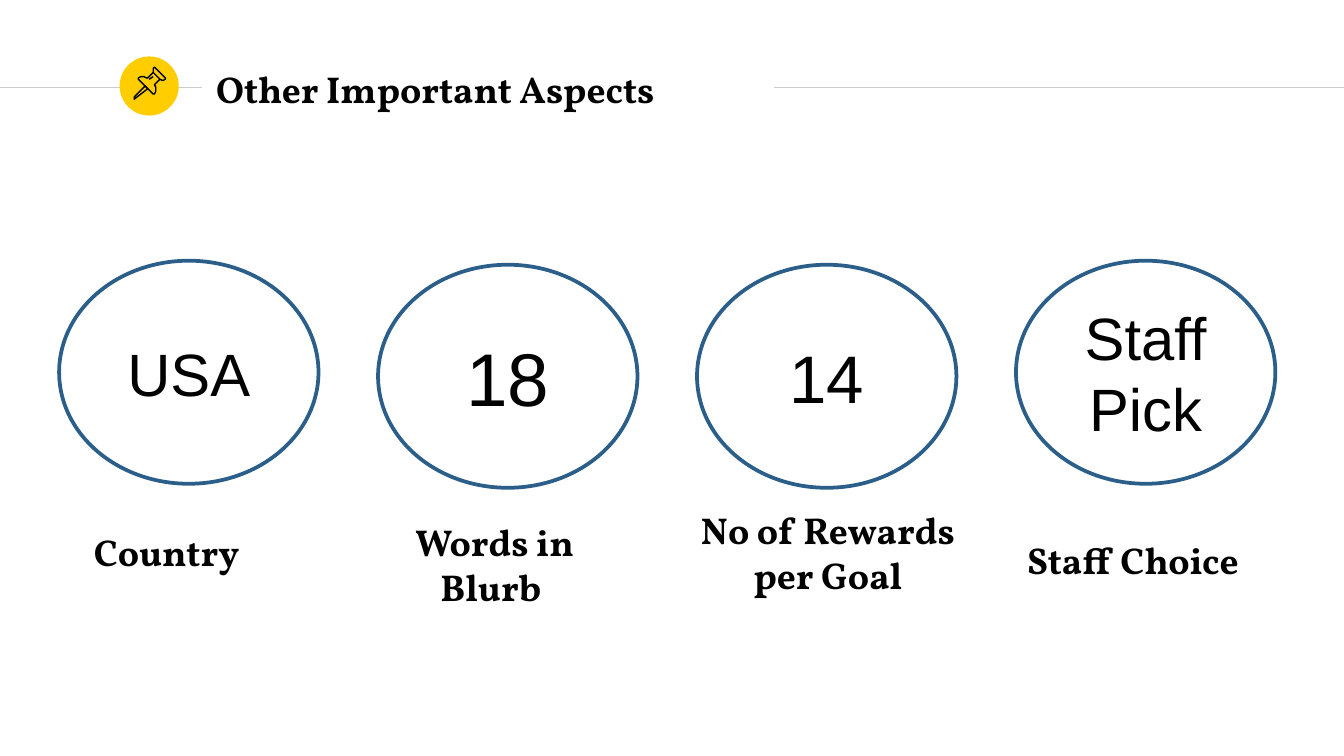
from pptx import Presentation
from pptx.dml.color import RGBColor
from pptx.enum.shapes import MSO_CONNECTOR, MSO_SHAPE
from pptx.enum.text import MSO_ANCHOR, PP_ALIGN
from pptx.oxml.ns import qn
from pptx.util import Inches, Pt

BLACK = RGBColor(0x00, 0x00, 0x00)
GREY = RGBColor(0xCC, 0xCC, 0xCC)
YELLOW = RGBColor(0xFF, 0xCD, 0x00)
BLUE = RGBColor(0x2B, 0x5F, 0x8A)

TITLE = "Other Important Aspects"
# value, value size, circle top, label, label box (left, top, width)
ASPECTS = [
    ("USA", 32, 1.94, "Country", (0.18, 3.77, 2.12)),
    ("18", 40, 1.97, "Words in Blurb ", (2.62, 3.86, 2.12)),
    ("14", 36, 1.97, "No of Rewards per Goal", (5.02, 3.77, 2.28)),
    ("Staff Pick", 32, 1.94, "Staff Choice", (7.37, 3.83, 2.12)),
]
FIRST_LEFT, LAST_LEFT = 0.44, 7.56
CIRCLE_SIZE = (1.93, 1.66)
LABEL_HEIGHT = 0.67

RULE_Y = 0.65
RULES = [(0, 1.5), (5.76, 10)]

# pushpin outlines: points in inches, closed or open
PIN = [
    ([(1.08, 0.64), (1, 0.72), (1, 0.74), (1.01, 0.73), (1.1, 0.66)], True),
    ([(1.14, 0.54), (1.19, 0.59), (1.21, 0.6), (1.23, 0.59), (1.23, 0.58),
      (1.15, 0.5), (1.14, 0.51)], True),
    ([(1.14, 0.54), (1.1, 0.58), (1.09, 0.58), (1.07, 0.57), (1.05, 0.57),
      (1.03, 0.58), (1.03, 0.59), (1.14, 0.7), (1.15, 0.7), (1.16, 0.68),
      (1.16, 0.65), (1.15, 0.63), (1.19, 0.59)], False),
    ([(1.11, 0.59), (1.14, 0.57)], False),
]


def write(shape, text, font="Vollkorn", size=20, bold=True,
          align=PP_ALIGN.CENTER, inset=0.1):
    frame = shape.text_frame
    frame.word_wrap = True
    frame.vertical_anchor = MSO_ANCHOR.MIDDLE
    frame.margin_left = frame.margin_right = Inches(0.1)
    frame.margin_top = frame.margin_bottom = Inches(inset)
    paragraph = frame.paragraphs[0]
    paragraph.alignment = align
    run = paragraph.add_run()
    run.text = text
    run.font.name = font
    run.font.size = Pt(size)
    run.font.bold = bold
    run.font.color.rgb = BLACK


def style(shape, fill=None, line=None, width=0.75):
    shape.shadow.inherit = False
    if fill is None:
        shape.fill.background()
    else:
        shape.fill.solid()
        shape.fill.fore_color.rgb = fill
    if line is None:
        shape.line.fill.background()
    else:
        shape.line.color.rgb = line
        shape.line.width = Pt(width)


def add_ellipse(shapes, *box):
    return shapes.add_shape(MSO_SHAPE.OVAL, *map(Inches, box))


def add_rule(shapes, start, end):
    rule = shapes.add_connector(MSO_CONNECTOR.STRAIGHT, Inches(start),
                                Inches(RULE_Y), Inches(end), Inches(RULE_Y))
    rule.line.color.rgb = GREY
    rule.line.width = Pt(0.75)
    properties = rule._element.spPr
    properties.append(properties.makeelement(qn("a:effectLst"), {}))


def add_outline(shapes, points, closed):
    start, *rest = [(Inches(x), Inches(y)) for x, y in points]
    builder = shapes.build_freeform(*start)
    builder.add_line_segments(rest, close=closed)
    style(builder.convert_to_shape(), line=BLACK)


def main():
    deck = Presentation()
    deck.slide_width = Inches(10)
    deck.slide_height = deck.slide_width * 9 // 16
    shapes = deck.slides.add_slide(deck.slide_layouts[6]).shapes

    for start, end in RULES:
        add_rule(shapes, start, end)
    badge = add_ellipse(shapes, 0.89, 0.42, 0.44, 0.44)
    style(badge, fill=YELLOW)
    title = shapes.add_textbox(*map(Inches, (1.51, 0.42, 4.24, 0.48)))
    write(title, TITLE, align=PP_ALIGN.LEFT)

    pitch = (LAST_LEFT - FIRST_LEFT) / (len(ASPECTS) - 1)
    for i, (value, size, top, label, (left, label_top, width)) in enumerate(ASPECTS):
        circle = add_ellipse(shapes, FIRST_LEFT + i * pitch, top, *CIRCLE_SIZE)
        style(circle, line=BLUE, width=2)
        write(circle, value, font="Arial", size=size, bold=False, inset=0.05)
        caption = shapes.add_textbox(Inches(left), Inches(label_top),
                                     Inches(width), Inches(LABEL_HEIGHT))
        write(caption, label)

    for points, closed in PIN:
        add_outline(shapes, points, closed)

    deck.save("out.pptx")


if __name__ == "__main__":
    main()
